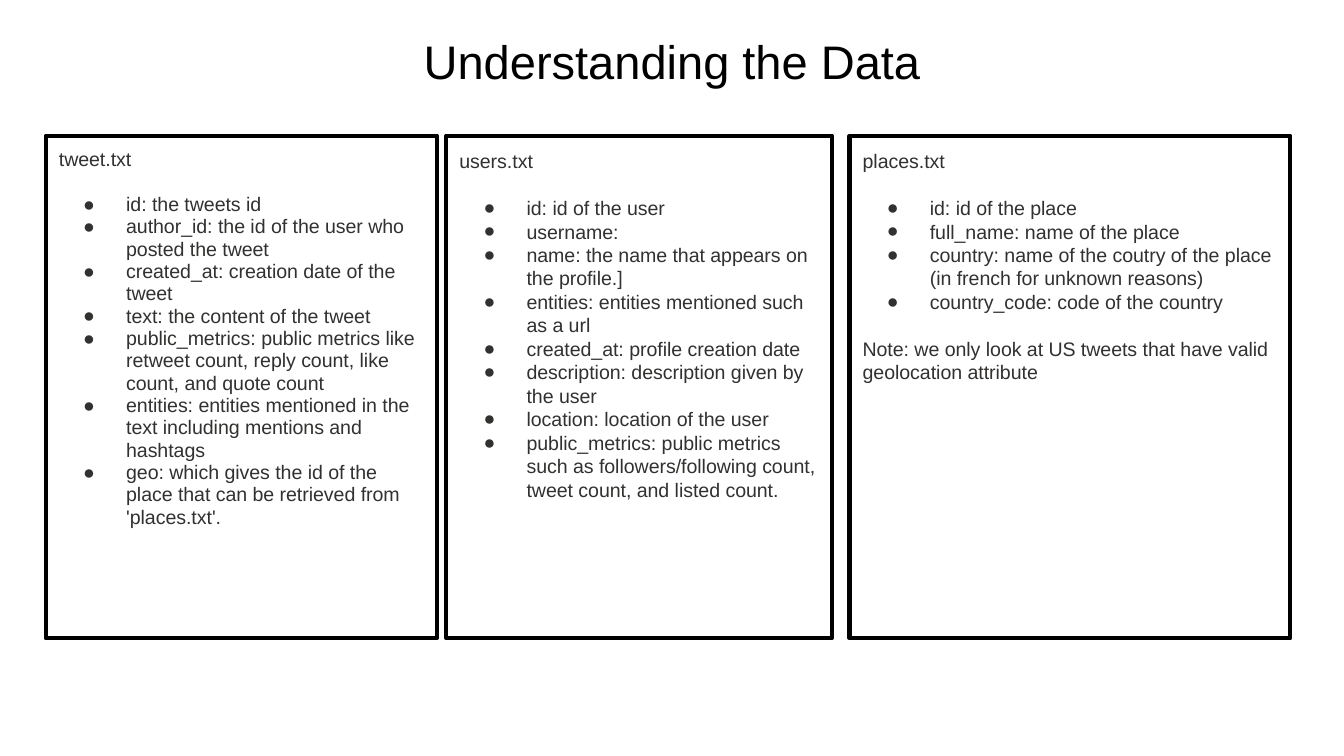
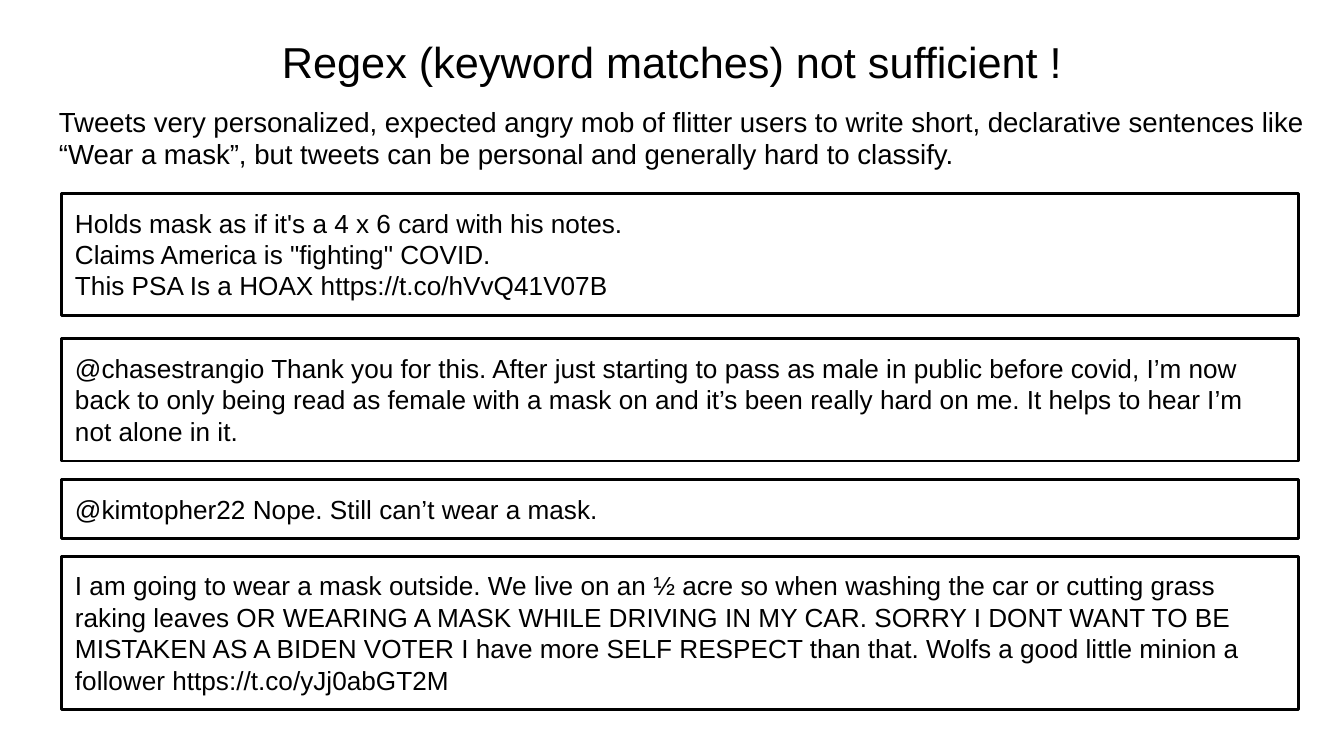
from lxml import etree
from pptx import Presentation
from pptx.dml.color import RGBColor
from pptx.enum import shapes, text
from pptx.oxml import ns
from pptx.util import Inches, Pt

BLACK = RGBColor(0x00, 0x00, 0x00)
CHARCOAL = RGBColor(0x32, 0x31, 0x30)
FONT = "Arial"
MARGIN = 0.34
INSET = 0.1

# Data files: left, width, line spacing, gap in points, name, fields, note
FILE_TOP, FILE_HEIGHT = 1.01, 3.74
FILES = [
    (MARGIN, 2.91, 0.95, 12, "tweet.txt", [
        "id: the tweets id",
        "author_id: the id of the user who posted the tweet",
        "created_at: creation date of the tweet",
        "text: the content of the tweet",
        "public_metrics: public metrics like retweet count, reply count, "
        "like count, and quote count",
        "entities: entities mentioned in the text including mentions and hashtags",
        "geo: which gives the id of the place that can be retrieved from 'places.txt'.",
    ], None),
    (3.32, 2.87, 1.0, 12.5, "users.txt", [
        "id: id of the user",
        "username:",
        "name: the name that appears on the profile.]",
        "entities: entities mentioned such as a url",
        "created_at: profile creation date",
        "description: description given by the user",
        "location: location of the user",
        "public_metrics: public metrics such as followers/following count, "
        "tweet count, and listed count.",
    ], None),
    (6.32, 3.28, 1.0, 12.5, "places.txt", [
        "id: id of the place",
        "full_name: name of the place",
        "country: name of the coutry of the place (in french for unknown reasons)",
        "country_code: code of the country",
    ], "Note: we only look at US tweets that have valid geolocation attribute"),
]

# Example tweets: top, height, lines
TWEET_LEFT, TWEET_WIDTH = 0.46, 9.2
TWEETS = [
    (1.44, 0.91, [
        "Holds mask as if it's a 4 x 6 card with his notes.",
        'Claims America is "fighting" COVID.',
        "This PSA Is a HOAX https://t.co/hVvQ41V07B",
    ]),
    (2.52, 0.91, [
        "@chasestrangio Thank you for this. After just starting to pass as male in "
        "public before covid, I’m now back to only being read as female with a mask "
        "on and it’s been really hard on me. It helps to hear I’m not alone in it.",
    ]),
    (3.57, 0.44, ["@kimtopher22 Nope. Still can’t wear a mask."]),
    (4.14, 1.14, [
        "I am going to wear a mask outside. We live on an ½ acre so when washing the "
        "car or cutting grass raking leaves OR WEARING A MASK WHILE DRIVING IN MY CAR. "
        "SORRY I DONT WANT TO BE MISTAKEN AS A BIDEN VOTER I have more SELF RESPECT "
        "than that. Wolfs a good little minion a follower https://t.co/yJj0abGT2M",
    ]),
]


def prepare_frame(box):
    """Give a box wrapped, top-anchored text with even insets."""
    frame = box.text_frame
    frame.word_wrap = True
    frame.auto_size = text.MSO_AUTO_SIZE.NONE
    frame.vertical_anchor = text.MSO_ANCHOR.TOP
    frame.margin_left = frame.margin_right = Inches(INSET)
    frame.margin_top = frame.margin_bottom = Inches(INSET)
    return frame


def add_bullet(para, size, color):
    props = para._p.get_or_add_pPr()
    props.set("marL", str(Inches(0.5)))
    props.set("indent", str(Inches(-0.32)))
    tint = etree.SubElement(props, ns.qn("a:buClr"))
    etree.SubElement(tint, ns.qn("a:srgbClr"), val=str(color))
    etree.SubElement(props, ns.qn("a:buSzPts"), val=str(int(size * 100)))
    etree.SubElement(props, ns.qn("a:buFont"), typeface=FONT)
    etree.SubElement(props, ns.qn("a:buChar"), char="●")


def write(frame, words, size, color=BLACK, align=text.PP_ALIGN.LEFT,
          spacing=1.0, before=0, after=0, bullet=False):
    """Add one formatted paragraph, using the empty first one if it is free."""
    first = frame.paragraphs[0]
    para = first if not first.runs else frame.add_paragraph()
    para.alignment = align
    para.line_spacing = spacing
    para.space_before = Pt(before)
    para.space_after = Pt(after)
    if bullet:
        add_bullet(para, size, color)
    span = para.add_run()
    span.text = words
    span.font.name = FONT
    span.font.size = Pt(size)
    span.font.color.rgb = color


def add_text_box(page, left, top, width, height):
    box = page.shapes.add_textbox(
        Inches(left), Inches(top), Inches(width), Inches(height))
    return prepare_frame(box)


def add_outlined_box(page, left, top, width, height, line_width):
    box = page.shapes.add_shape(
        shapes.MSO_SHAPE.RECTANGLE,
        Inches(left), Inches(top), Inches(width), Inches(height))
    box.shadow.inherit = False
    box.fill.background()
    box.line.color.rgb = BLACK
    box.line.width = Pt(line_width)
    return prepare_frame(box)


def add_page(deck, title, title_top, title_size):
    page = deck.slides.add_slide(deck.slide_layouts[6])
    frame = add_text_box(page, MARGIN, title_top, 9.32, 0.63)
    write(frame, title, title_size, align=text.PP_ALIGN.CENTER)
    return page


def add_file_box(page, left, width, spacing, gap, name, fields, note):
    frame = add_outlined_box(page, left, FILE_TOP, width, FILE_HEIGHT, 2.25)
    style = {"size": 10.5, "color": CHARCOAL, "spacing": spacing}
    write(frame, name, **style)
    for index, field in enumerate(fields):
        write(frame, field, bullet=True, before=0 if index else gap, **style)
    if note:
        write(frame, note, before=gap, **style)


def add_tweet_box(page, top, height, lines):
    frame = add_outlined_box(page, TWEET_LEFT, top, TWEET_WIDTH, height, 1.5)
    for line in lines:
        write(frame, line, 14)


def main():
    deck = Presentation()
    deck.slide_width = Inches(10)
    deck.slide_height = Inches(10) * 9 // 16

    # Slide 1: fields of the data files
    page = add_page(deck, "Understanding the Data", 0.14, 25.2)
    for data_file in FILES:
        add_file_box(page, *data_file)

    # Slide 2: tweets that keywords cannot classify
    page = add_page(deck, "Regex (keyword matches) not sufficient !", 0.16, 23.2)
    intro = add_text_box(page, MARGIN, 0.7, 9.58, 0.7)
    write(intro,
          "Tweets very personalized, expected angry mob of flitter users to write "
          "short, declarative sentences like “Wear a mask”, but tweets can be "
          "personal and generally hard to classify.",
          14.8, spacing=0.95, after=12)
    for tweet in TWEETS:
        add_tweet_box(page, *tweet)

    deck.save("out.pptx")


if __name__ == "__main__":
    main()
